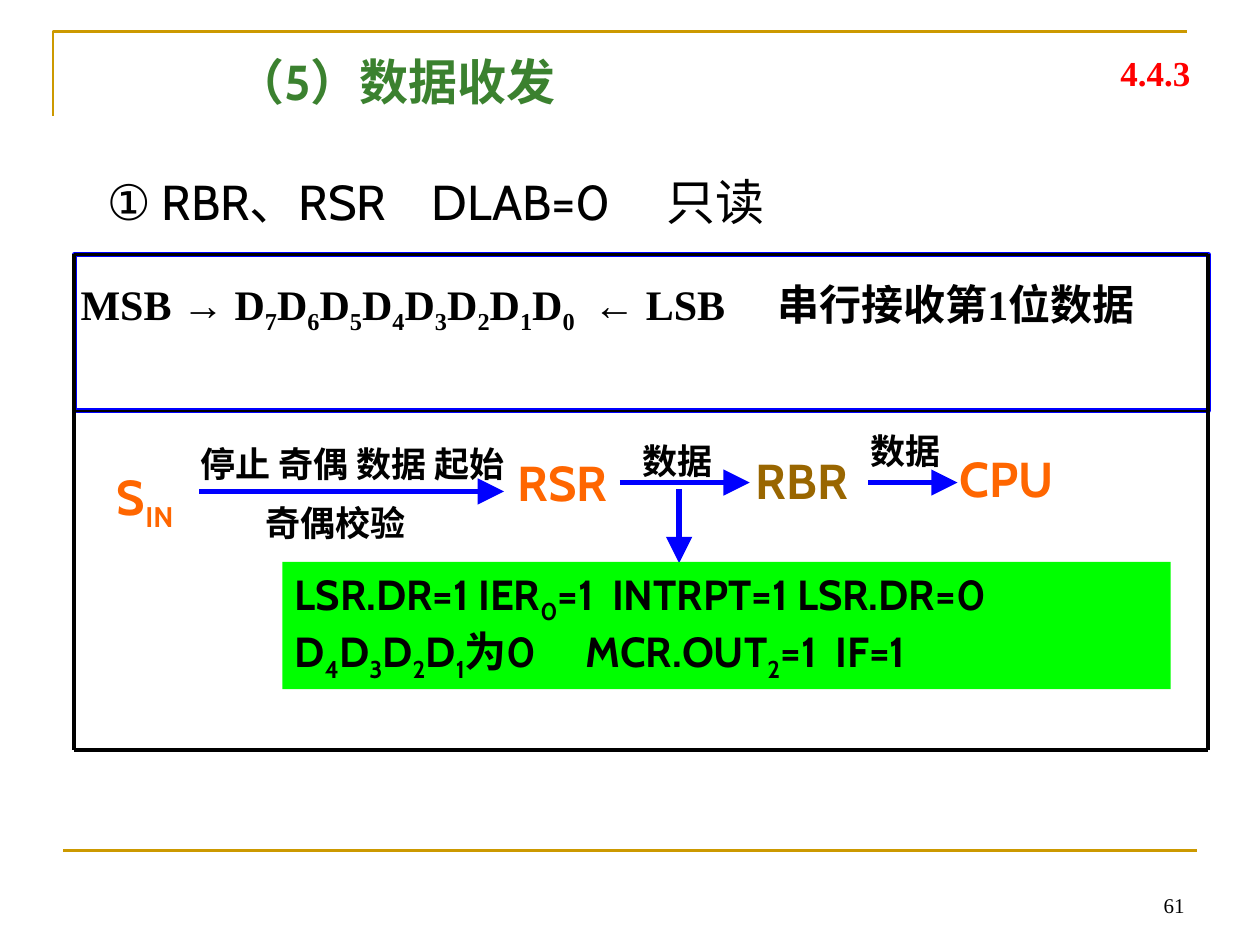
from dataclasses import dataclass

from lxml import etree
from pptx import Presentation
from pptx.dml.color import RGBColor
from pptx.enum.shapes import MSO_CONNECTOR, MSO_SHAPE
from pptx.enum.text import MSO_ANCHOR, PP_ALIGN
from pptx.oxml.ns import qn
from pptx.util import Inches, Pt

STRAIGHT = MSO_CONNECTOR.STRAIGHT
RECTANGLE = MSO_SHAPE.RECTANGLE
TOP, BOTTOM = MSO_ANCHOR.TOP, MSO_ANCHOR.BOTTOM
LEFT, CENTER, RIGHT = PP_ALIGN.LEFT, PP_ALIGN.CENTER, PP_ALIGN.RIGHT


@dataclass(frozen=True)
class Theme:
    black: str = "000000"
    gold: str = "CC9900"
    blue: str = "0000FF"
    orange: str = "FF6600"
    brown: str = "996600"
    green: str = "3B812F"
    lime: str = "00FF00"
    red: str = "FF0000"
    sans: str = "Cabin"
    serif: str = "Times New Roman"
    label: str = "Arial"
    heading: int = 28
    body: int = 24
    note: int = 20
    page: int = 12


theme = Theme()


def write(text, shape=None, at=None, size=theme.heading, color=theme.black,
          font=theme.sans, bold=True, align=LEFT, anchor=TOP,
          tabs=(), margins=(0.1, 0.05)):
    if shape is None:
        shape = slide.shapes.add_textbox(*map(Inches, at))
    frame = shape.text_frame
    frame.word_wrap = True
    frame.vertical_anchor = anchor
    frame.margin_left = frame.margin_right = Inches(margins[0])
    frame.margin_top = frame.margin_bottom = Inches(margins[1])
    for row, line in enumerate(text.split("\n")):
        paragraph = frame.add_paragraph() if row else frame.paragraphs[0]
        if tabs:
            stops = etree.SubElement(paragraph._p.get_or_add_pPr(), qn("a:tabLst"))
            for position in tabs[row]:
                etree.SubElement(stops, qn("a:tab"), pos=str(Inches(position)), algn="l")
        paragraph.alignment = align
        for index, piece in enumerate(line.split("~")):
            if not piece:
                continue
            run = paragraph.add_run()
            run.text = piece
            run.font.name = font
            run.font.size = Pt(size)
            run.font.bold = bold
            run.font.color.rgb = RGBColor.from_string(color)
            if index % 2:
                run.font._element.set("baseline", "-25000")


def connect(x1, y1, x2, y2, color, width, arrow=False):
    line = slide.shapes.add_connector(STRAIGHT, *map(Inches, (x1, y1, x2, y2)))
    line.line.color.rgb = RGBColor.from_string(color)
    line.line.width = Pt(width)
    if arrow:
        etree.SubElement(line.line._get_or_add_ln(), qn("a:tailEnd"),
                         type="triangle", w="lg", len="lg")
    etree.SubElement(line._element.spPr, qn("a:effectLst"))


prs = Presentation()
prs.slide_width, prs.slide_height = Inches(10), Inches(7.5)
slide = prs.slides.add_slide(prs.slide_layouts[5])

outline = slide.shapes.build_freeform(Inches(0.42), Inches(0.92))
outline.add_line_segments(
    [(Inches(0.42), Inches(0.25)), (Inches(9.42), Inches(0.25))], close=False)
corner = outline.convert_to_shape()
corner.shadow.inherit = False
corner.fill.background()
corner.line.color.rgb = RGBColor.from_string(theme.gold)
corner.line.width = Pt(1.5)
connect(0.5, 6.75, 9.5, 6.75, theme.gold, 1.5)

title = slide.shapes.title
title.left, title.top, title.width, title.height = map(Inches, (1.77, 0.36, 7.08, 0.57))
write("（5）数据收发", shape=title, color=theme.green)
write("4.4.3", at=(8.7, 0.36, 0.94, 0.44), size=theme.note, color=theme.red,
      font=theme.serif, align=CENTER)
write("① RBR、RSR\tDLAB=0\t只读", at=(0.75, 1.31, 5.67, 0.57), bold=False,
      tabs=[(2.58, 4.44)])

left, right = 0.59, 9.59
top, middle, bottom = 2.02, 3.26, 5.95
register = slide.shapes.add_shape(
    RECTANGLE, *map(Inches, (left, top, right - left, middle - top)))
register.shadow.inherit = False
register.fill.background()
register.line.color.rgb = RGBColor.from_string(theme.blue)
register.line.width = Pt(3)
bits = "".join(f"D~{bit}~" for bit in range(7, -1, -1))
write(f"MSB → {bits}\t← LSB\t串行接收第1位数据", shape=register, size=theme.body,
      font=theme.serif, tabs=[(4.07, 5.53)], margins=(0.05, 0.19))

for y, width in ((top, 2.25), (middle, 1), (bottom, 2.25)):
    connect(left, y, right, y, theme.black, width)
for x in (left, right):
    connect(x, top, x, bottom, theme.black, 2.25)

for x1, y1, x2, y2 in (
    (1.58, 3.9, 4, 3.9),
    (4.92, 3.83, 5.95, 3.83),
    (6.89, 3.83, 7.6, 3.83),
    (5.39, 3.88, 5.39, 4.47),
):
    connect(x1, y1, x2, y2, theme.blue, 3, arrow=True)

for stage, at, color in (
    ("S~IN~", (0.83, 3.65, 0.84, 0.63), theme.orange),
    ("RSR", (4.01, 3.54, 1, 0.57), theme.orange),
    ("RBR", (5.9, 3.53, 1, 0.57), theme.brown),
    ("CPU", (7.52, 3.51, 1.18, 0.57), theme.orange),
):
    write(stage, at=at, color=color)

for label, at, font in (
    ("停止 奇偶 数据 起始", (1.49, 3.46, 2.8, 0.44), theme.sans),
    ("奇偶校验", (2.01, 3.93, 1.4, 0.44), theme.sans),
    ("数据", (5, 3.44, 0.79, 0.44), theme.label),
    ("数据", (6.81, 3.36, 0.79, 0.44), theme.label),
):
    write(label, at=at, size=theme.note, font=font)

conditions = slide.shapes.add_shape(RECTANGLE, *map(Inches, (2.24, 4.46, 7.05, 1.01)))
conditions.shadow.inherit = False
conditions.fill.solid()
conditions.fill.fore_color.rgb = RGBColor.from_string(theme.lime)
conditions.line.fill.background()
write("LSR.DR=1 IER~0~=1\tINTRPT=1 LSR.DR=0\n"
      "D~4~D~3~D~2~D~1~为0\tMCR.OUT~2~=1\tIF=1",
      shape=conditions, size=theme.body, tabs=[(2.52,), (2.31, 4.29)])

write("61", at=(7.17, 6.83, 2.33, 0.5), size=theme.page, font=theme.serif,
      bold=False, align=RIGHT, anchor=BOTTOM)

prs.save("out.pptx")
